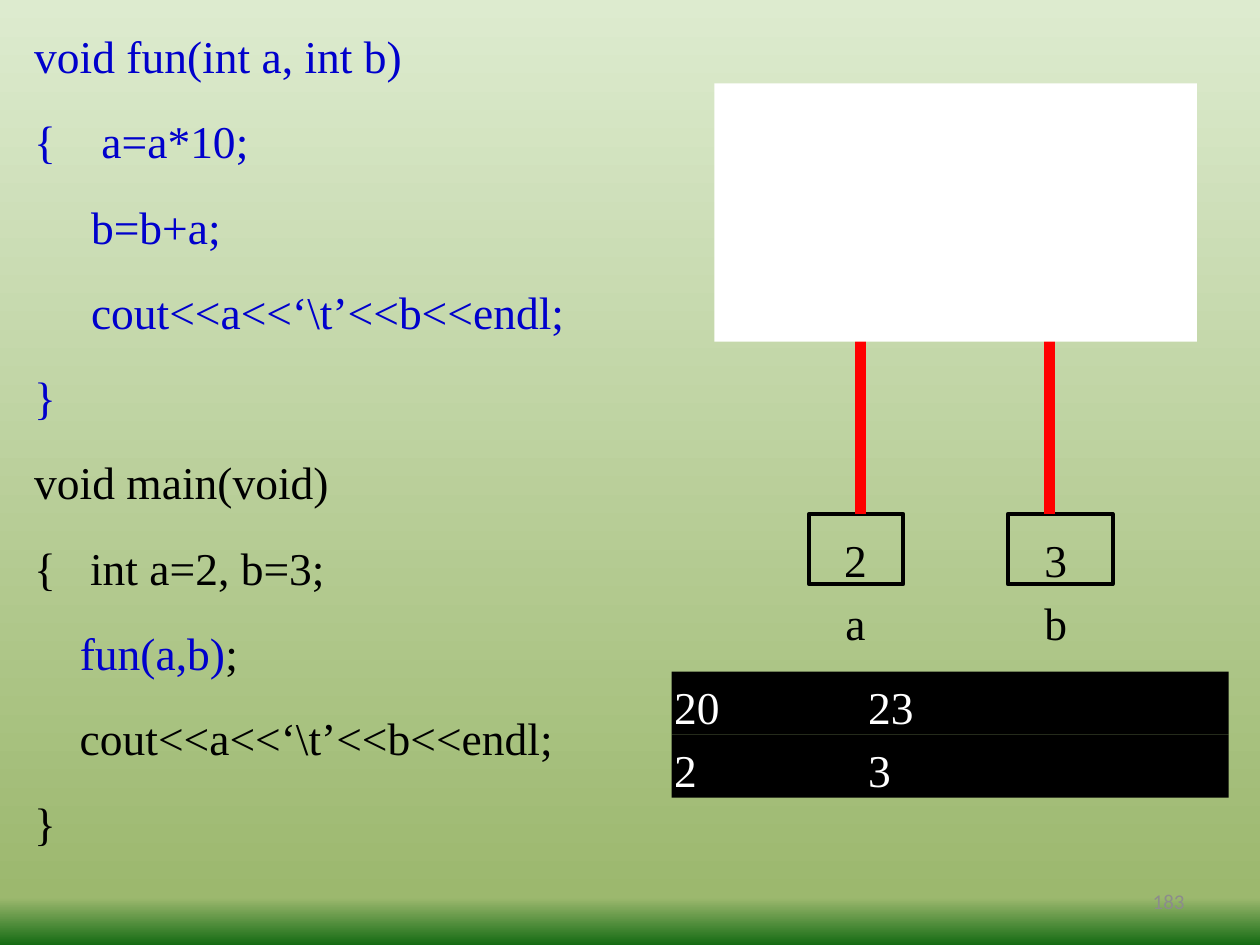
from lxml import etree
from pptx import Presentation
from pptx import util as u
from pptx.dml.color import RGBColor
from pptx.enum import shapes, text
from pptx.oxml import ns

BLUE, BLACK, WHITE, RED, GREY = "0000CC", "000000", "FFFFFF", "FF0000", "8C8C8C"


def color(value):
    return RGBColor.from_string(value)


def write(shape, lines, align=text.PP_ALIGN.LEFT):
    """Fill a shape with lines, each a list of (words, colour) spans."""
    frame = shape.text_frame
    frame.word_wrap = True
    frame.vertical_anchor = text.MSO_ANCHOR.TOP
    frame.margin_left = frame.margin_right = u.Cm(0.05)
    frame.margin_top = frame.margin_bottom = u.Cm(0.03)
    for index, spans in enumerate(lines):
        para = frame.add_paragraph() if index else frame.paragraphs[0]
        para.alignment = align
        para.line_spacing = 1.1
        para.space_before = u.Pt(14.4 if index else 0)
        for words, shade in spans:
            span = para.add_run()
            span.text = words
            span.font.name = "Times New Roman"
            span.font.size = u.Pt(26)
            span.font.color.rgb = color(shade)


deck = Presentation()
deck.slide_width, deck.slide_height = u.Cm(25.4), u.Cm(19.05)
page = deck.slides.add_slide(deck.slide_layouts[6])

# Green background gradient, top to bottom
page.background.fill.gradient()
gradient = page.background._cSld.find(".//" + ns.qn("a:gradFill"))
stops = gradient.find(ns.qn("a:gsLst"))
for stop in list(stops):
    stops.remove(stop)
for percent, shade in [(0, "DDEBCF"), (95, "9CB86E"), (100, "156B13")]:
    stop = etree.SubElement(stops, ns.qn("a:gs"), pos=str(percent * 1000))
    etree.SubElement(stop, ns.qn("a:srgbClr"), val=shade)
direction = gradient.find(ns.qn("a:lin"))
direction.set("ang", "5400000")
direction.set("scaled", "0")

# Page number
box = page.shapes.add_textbox(u.Cm(18.21), u.Cm(17.65), u.Cm(5.92), u.Cm(1.02))
box.text_frame.word_wrap = True
box.text_frame.vertical_anchor = text.MSO_ANCHOR.MIDDLE
para = box.text_frame.paragraphs[0]
para.text = "183"
para.alignment = text.PP_ALIGN.RIGHT
font = para.runs[0].font
font.name, font.size, font.color.rgb = "Calibri", u.Pt(12), color(GREY)

# Program listing
code = [
    [("void fun(int a, int b)", BLUE)],
    [("{    a=a*10;", BLUE)],
    [("     b=b+a;", BLUE)],
    [("     cout<<a<<‘\\t’<<b<<endl;", BLUE)],
    [("}", BLUE)],
    [("void main(void)", BLACK)],
    [("{   int a=2, b=3;", BLACK)],
    [("    ", BLACK), ("fun(a,b)", BLUE), (";", BLACK)],
    [("    cout<<a<<‘\\t’<<b<<endl;", BLACK)],
    [("}", BLACK)],
]
box = page.shapes.add_textbox(u.Cm(0.64), u.Cm(0.43), u.Cm(13.34), u.Cm(17.27))
write(box, code)

# Variables of main: cell, value, name and arrow up to the function
variables = [
    ("a", "2", 16.31, 1.9, 16.71, 17.35),
    ("b", "3", 20.32, 2.11, 20.75, 21.16),
]
for name, value, cell_left, cell_width, text_left, arrow_x in variables:
    cell = page.shapes.add_shape(shapes.MSO_SHAPE.RECTANGLE, u.Cm(cell_left),
                                 u.Cm(10.36), u.Cm(cell_width), u.Cm(1.42))
    cell.shadow.inherit = False
    cell.fill.background()
    cell.line.color.rgb = color(BLACK)
    cell.line.width = u.Pt(2.25)
    for words, top in [(value, 10.59), (name, 11.86)]:
        box = page.shapes.add_textbox(u.Cm(text_left), u.Cm(top), u.Cm(1.07), u.Cm(1.27))
        write(box, [[(words, BLACK)]], text.PP_ALIGN.CENTER)

    arrow = page.shapes.add_connector(shapes.MSO_CONNECTOR.STRAIGHT, u.Cm(arrow_x),
                                      u.Cm(10.36), u.Cm(arrow_x), u.Cm(5.92))
    arrow.line.color.rgb = color(RED)
    arrow.line.width = u.Pt(6)
    etree.SubElement(arrow.line._get_or_add_ln(), ns.qn("a:tailEnd"), type="triangle")
    etree.SubElement(arrow._element.spPr, ns.qn("a:effectLst"))

# Black output rows and the white panel over the arrow tips
panels = [
    (13.54, 13.54, 11.23, 1.27, BLACK, "20\t23"),
    (13.54, 14.81, 11.23, 1.27, BLACK, "2\t3"),
    (14.4, 1.68, 9.73, 5.21, WHITE, ""),
]
for left, top, width, height, shade, words in panels:
    panel = page.shapes.add_shape(shapes.MSO_SHAPE.RECTANGLE, u.Cm(left), u.Cm(top),
                                  u.Cm(width), u.Cm(height))
    panel.shadow.inherit = False
    panel.fill.solid()
    panel.fill.fore_color.rgb = color(shade)
    panel.line.fill.background()
    if words:
        write(panel, [[(words, WHITE)]])
        properties = panel.text_frame.paragraphs[0]._p.get_or_add_pPr()
        tabs = etree.SubElement(properties, ns.qn("a:tabLst"))
        etree.SubElement(tabs, ns.qn("a:tab"), pos=str(u.Cm(3.91)), algn="l")

deck.save("out.pptx")
